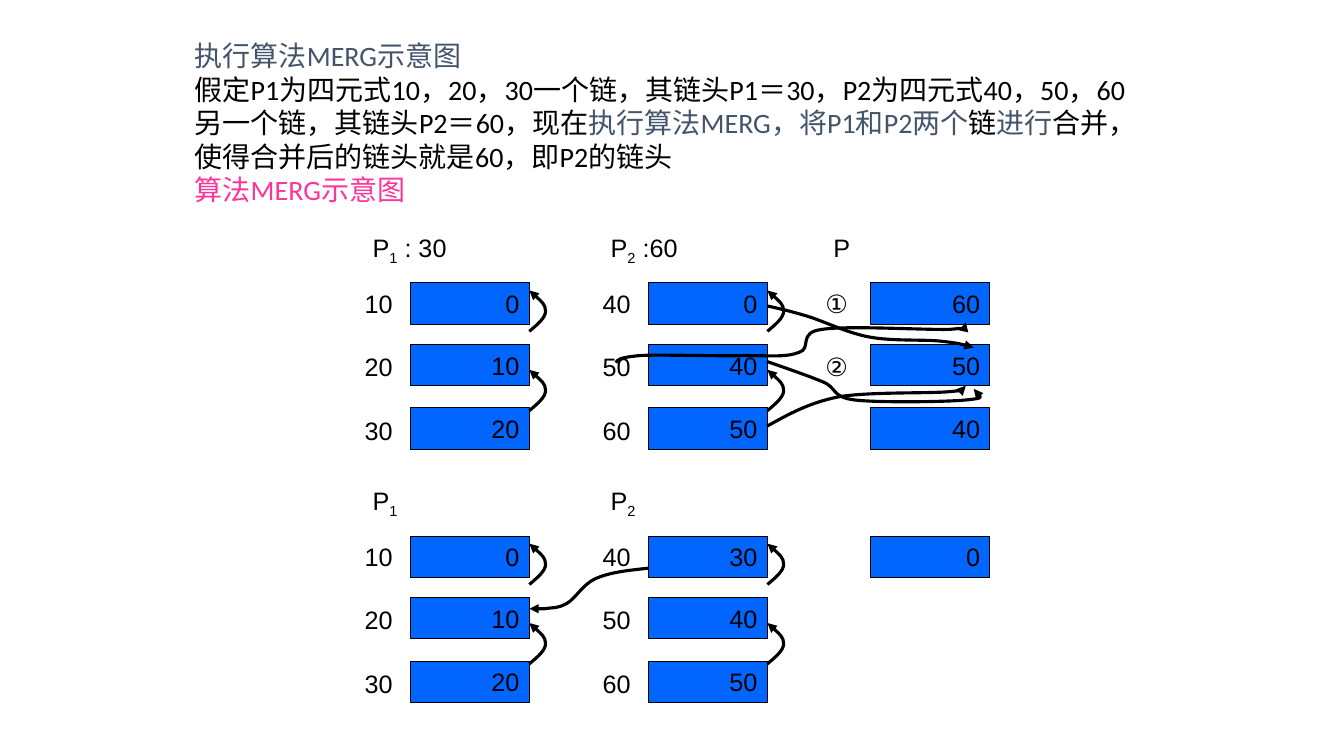
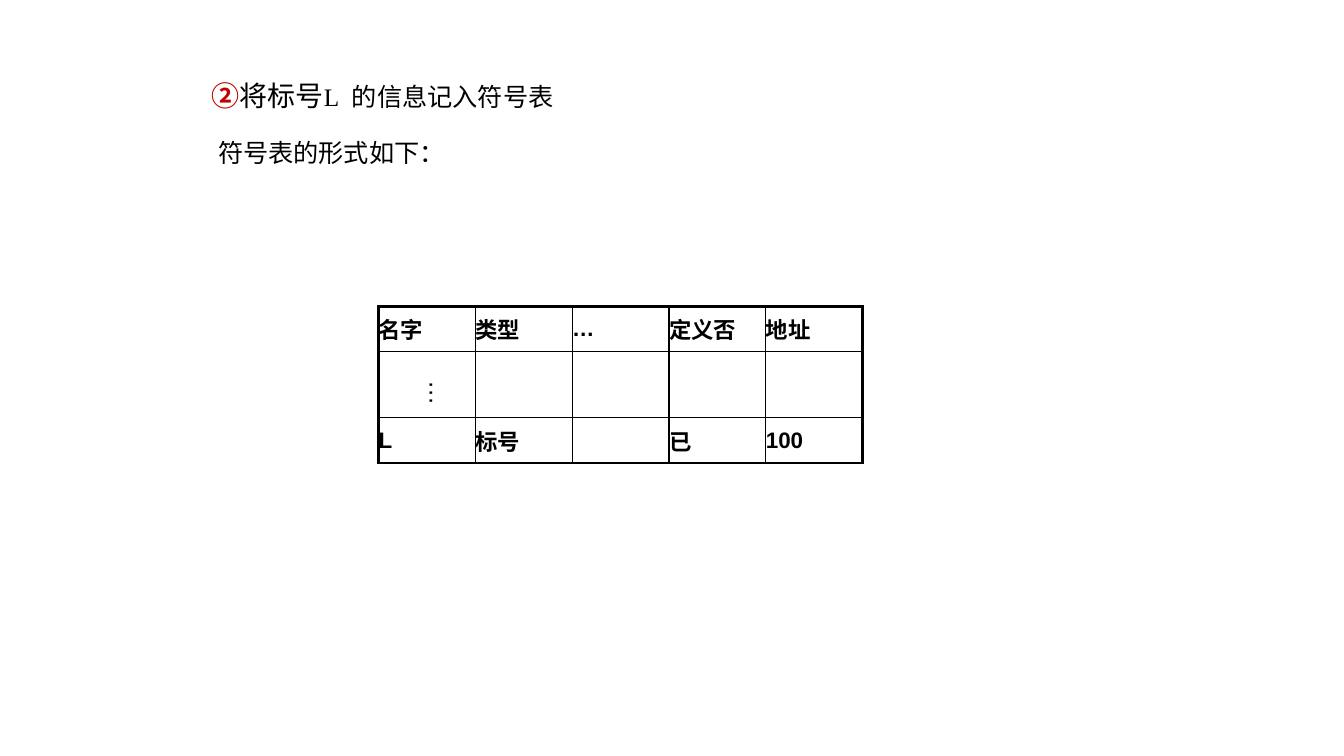
import lxml.etree
import pptx
import pptx.dml.color
import pptx.enum.shapes
import pptx.enum.text
import pptx.oxml.ns
import pptx.util

Cm = pptx.util.Cm
Pt = pptx.util.Pt
qn = pptx.oxml.ns.qn
RGBColor = pptx.dml.color.RGBColor
ALIGN = pptx.enum.text.PP_ALIGN
ANCHOR = pptx.enum.text.MSO_ANCHOR

BLACK = RGBColor(0x00, 0x00, 0x00)
WHITE = RGBColor(0xFF, 0xFF, 0xFF)
BLUE = RGBColor(0x00, 0x66, 0xFF)
SLATE = RGBColor(0x44, 0x54, 0x6A)
PINK = RGBColor(0xFF, 0x33, 0x99)
RED = RGBColor(0xC0, 0x00, 0x00)

# Shared text formats
PROSE = {"name": "Calibri", "size": Pt(20), "bold": False}
DIAGRAM = {"name": "Arial", "size": Pt(18), "bold": False}
SERIF = {"name": "Times New Roman", "size": Pt(18), "bold": False}
MARKER = {"name": "Noto Sans CJK SC", "size": Pt(20), "bold": True}
ENTRY = {"name": "Arial", "size": Pt(16), "bold": True}
SUBSCRIPT = {"baseline": "-25000"}
WIDE = {"spc": "450"}

# Quadruple stacks, in cm
BOX_WIDTH, BOX_HEIGHT = 3.0, 1.04
BOX_OFFSETS = (0, 1.55, 3.15)
LABEL_OFFSETS = (0, 1.6, 3.2)
HOOK_OFFSETS = (0.19, 2.19)
P2_OFFSET, P_OFFSET = 6.0, 11.61

# Curves: a start point, then three Bézier points for each section
HOOK = [(0, 1.03), (0.2, 0.86), (0.41, 0.69), (0.41, 0.52),
        (0.41, 0.35), (0.2, 0.18), (0, 0)]
MERGE_LINKS = [
    [(5.18, 2.01), (5.23, 1.93), (5.26, 1.88), (5.79, 1.83),
     (6.32, 1.8), (7.72, 1.85), (8.41, 1.83),
     (9.07, 1.83), (9.47, 1.88), (9.8, 1.75),
     (10.13, 1.65), (9.75, 1.24), (10.39, 1.17),
     (11.02, 1.07), (13, 1.19), (13.59, 1.17),
     (14.2, 1.12), (14.1, 1.07), (14, 0.99)],
    [(8.99, 3.61), (9.5, 3.33), (10.03, 3.02), (10.8, 2.87),
     (11.56, 2.74), (13.06, 2.79), (13.59, 2.74),
     (14.12, 2.69), (14.07, 2.64), (14, 2.59)],
    [(8.99, 0.58), (9.27, 0.64), (9.58, 0.71), (10.01, 0.84),
     (10.44, 0.97), (11.02, 1.27), (11.61, 1.37),
     (12.17, 1.47), (12.95, 1.42), (13.39, 1.47),
     (13.82, 1.52), (14.02, 1.57), (14.2, 1.63)],
    [(8.99, 1.98), (9.5, 2.16), (10.03, 2.34), (10.39, 2.49),
     (10.77, 2.64), (10.59, 2.87), (11.2, 2.95),
     (11.79, 3.02), (13.49, 3), (14, 2.95),
     (14.5, 2.9), (14.35, 2.77), (14.2, 2.67)],
]
JOINED_LINK = [(5.99, 0.81), (5.51, 0.86), (5.03, 0.91), (4.67, 1.07),
               (4.34, 1.22), (4.17, 1.57), (3.94, 1.7),
               (3.71, 1.83), (3.53, 1.8), (3.38, 1.83),
               (3.23, 1.83), (3.1, 1.83), (3, 1.83)]


def apply(target, values):
    for attribute, value in values.items():
        setattr(target, attribute, value)


def add_run(paragraph, text, style, color=BLACK, extras=None):
    run = paragraph.add_run()
    run.text = text
    apply(run.font, style)
    run.font.color.rgb = color
    for key, value in (extras or {}).items():
        run._r.get_or_add_rPr().set(key, value)


def write(frame, paragraphs, anchor=ANCHOR.TOP, align=ALIGN.LEFT, wrap=True):
    """Each paragraph is a list of argument tuples for add_run."""
    apply(frame, {"word_wrap": wrap, "vertical_anchor": anchor,
                  "auto_size": pptx.enum.text.MSO_AUTO_SIZE.NONE})
    for index, runs in enumerate(paragraphs):
        paragraph = frame.add_paragraph() if index else frame.paragraphs[0]
        paragraph.alignment = align
        for run in runs:
            add_run(paragraph, *run)


def add_text(slide, box, runs):
    text = slide.shapes.add_textbox(*map(Cm, box))
    write(text.text_frame, [runs], wrap=False)
    return text


def add_titled_slide(deck, box, paragraphs):
    """Start a slide whose title placeholder holds the heading text."""
    slide = deck.slides.add_slide(deck.slide_layouts.get_by_name("Title Only"))
    title = slide.shapes.title
    apply(title, dict(zip(("left", "top", "width", "height"), map(Cm, box))))
    write(title.text_frame, paragraphs)
    return slide


def add_curve(slide, left, top, points):
    """Draw a chain of Bézier sections ending in an arrowhead."""
    start, *others = [(Cm(left + x), Cm(top + y)) for x, y in points]
    builder = slide.shapes.build_freeform(*start)
    builder.add_line_segments(others, close=False)
    curve = builder.convert_to_shape()
    # Every three straight sections become one Bézier section
    corners = list(curve._element.iter(qn("a:lnTo")))
    for first in range(0, len(corners), 3):
        section = lxml.etree.Element(qn("a:cubicBezTo"))
        corners[first].addprevious(section)
        for corner in corners[first:first + 3]:
            section.append(corner[0])
            corner.getparent().remove(corner)
    curve.shadow.inherit = False
    curve.fill.background()
    curve.line.color.rgb = BLACK
    curve.line.width = Pt(2.25)
    outline = curve._element.spPr.find(qn("a:ln"))
    lxml.etree.SubElement(outline, qn("a:tailEnd"), type="triangle")


def add_stack(slide, left, top, heading, labels, values, hooked=True):
    """Draw one chain: heading, row labels, result boxes and hooks."""
    if heading:
        width, subscript, rest = heading
        runs = [("P", DIAGRAM)]
        if subscript:
            runs.append((subscript, DIAGRAM, BLACK, SUBSCRIPT))
        if rest:
            runs.append((rest, DIAGRAM))
        add_text(slide, (left - 1.2, top - 1.41, width, 1.02), runs)
    for value, offset in zip(values, BOX_OFFSETS):
        box = slide.shapes.add_shape(
            pptx.enum.shapes.MSO_SHAPE.RECTANGLE, Cm(left), Cm(top + offset),
            Cm(BOX_WIDTH), Cm(BOX_HEIGHT))
        box.shadow.inherit = False
        box.fill.solid()
        box.fill.fore_color.rgb = BLUE
        box.line.color.rgb = BLACK
        box.line.width = Pt(0.75)
        write(box.text_frame, [[(value, DIAGRAM)]], ANCHOR.MIDDLE, ALIGN.RIGHT)
    for label, offset in zip(labels, LABEL_OFFSETS):
        add_text(slide, (left - 1.4, top + offset, 1.22, 1.02),
                 [(label, DIAGRAM)])
    if hooked:
        for offset in HOOK_OFFSETS:
            add_curve(slide, left + BOX_WIDTH, top + offset, HOOK)


def add_stage(slide, left, top, stacks, links):
    """Draw one stage of the merge: its stacks, then the links across them."""
    for offset, *stack in stacks:
        add_stack(slide, left + offset, top, *stack)
    for link in links:
        add_curve(slide, left, top, link)


def add_symbol_table(slide, left, top, column_width, row_heights, rows):
    columns = len(rows[0])
    table = slide.shapes.add_table(
        len(rows), columns, Cm(left), Cm(top),
        Cm(column_width * columns), Cm(sum(row_heights))).table
    apply(table, {"first_row": False, "horz_banding": False})
    for column in table.columns:
        column.width = Cm(column_width)
    for row, height in zip(table.rows, row_heights):
        row.height = Cm(height)
    for r, row in enumerate(rows):
        for c, text in enumerate(row):
            cell = table.cell(r, c)
            apply(cell, {"margin_left": 0, "margin_right": 0,
                         "margin_top": Cm(0.13), "margin_bottom": Cm(0.13),
                         "vertical_anchor": ANCHOR.MIDDLE})
            if text:
                add_run(cell.text_frame.paragraphs[0], text, ENTRY)
            # Thick frame, thin inner lines
            outer = {"a:lnL": c == 0, "a:lnR": c == columns - 1,
                     "a:lnT": r == 0, "a:lnB": r == len(rows) - 1}
            for side, thick in outer.items():
                border = lxml.etree.SubElement(
                    cell._tc.get_or_add_tcPr(), qn(side),
                    w=str(Pt(2.25 if thick else 1)))
                fill = lxml.etree.SubElement(border, qn("a:solidFill"))
                lxml.etree.SubElement(fill, qn("a:srgbClr"), val=str(BLACK))
            cell.fill.solid()
            cell.fill.fore_color.rgb = WHITE


def build_merge_slide(deck):
    slide = add_titled_slide(deck, (4.65, 0.84, 24.13, 4.5), [
        [("执行算法MERG示意图", PROSE, SLATE)],
        [("假定P1为四元式10，20，30一个链，其链头P1＝30，P2为四元式40，50，60"
          "另一个链，其链头P2＝60，现在", PROSE),
         ("执行算法MERG，将P1和P2两个", PROSE, SLATE),
         ("链", PROSE),
         ("进行", PROSE, SLATE),
         ("合并，使得合并后的链头就是60，即P2的链头", PROSE)],
        [("算法MERG示意图", PROSE, PINK)],
    ])
    p1_labels, p2_labels = ("10", "20", "30"), ("40", "50", "60")
    p1_values = ("0", "10", "20")
    # Before the merge
    add_stage(slide, 10.34, 7.13, [
        (0, (2.41, "1", " : 30"), p1_labels, p1_values),
        (P2_OFFSET, (2.24, "2", " :60"), p2_labels, ("0", "40", "50")),
        (P_OFFSET, (0.94, "", ""), ("①", "②"), ("60", "50", "40"), False),
    ], MERGE_LINKS)
    # After the merge
    add_stage(slide, 10.34, 13.51, [
        (0, (1.17, "1", ""), p1_labels, p1_values),
        (P2_OFFSET, (1.17, "2", ""), p2_labels, ("30", "40", "50")),
        (P_OFFSET, None, (), ("0",), False),
    ], [JOINED_LINK])


def build_symbol_slide(deck):
    slide = add_titled_slide(deck, (5.08, 1.07, 23.7, 4.67), [
        [("②", MARKER, RED), ("将标号", {**MARKER, "bold": False}),
         ("L", SERIF), (" ", SERIF, BLACK, WIDE),
         ("的信息记入符号表", SERIF)],
        [("符号表的形式如下：", SERIF)],
    ])
    frame = slide.shapes.title.text_frame
    frame.margin_top = Cm(0.34)
    for paragraph in frame.paragraphs:
        paragraph.line_spacing = Pt(40)
    frame.paragraphs[1]._p.get_or_add_pPr().set("marL", str(Cm(0.16)))
    add_symbol_table(slide, 9.54, 7.72, 2.44, (1.14, 1.67, 1.14), [
        ("名字", "类型", "…", "定义否", "地址"),
        ("", "", "", "", ""),
        ("L", "标号", "", "已", "100"),
    ])
    # Vertical ellipsis in the middle row
    ellipsis = add_text(slide, (10.32, 9.33, 1.27, 1.19), [("…", DIAGRAM)])
    ellipsis.text_frame.word_wrap = True
    ellipsis.text_frame._txBody.bodyPr.set("vert", "eaVert")


def main():
    deck = pptx.Presentation()
    apply(deck, {"slide_width": Cm(33.87), "slide_height": Cm(19.05)})
    build_merge_slide(deck)
    build_symbol_slide(deck)
    deck.save("out.pptx")


if __name__ == "__main__":
    main()
